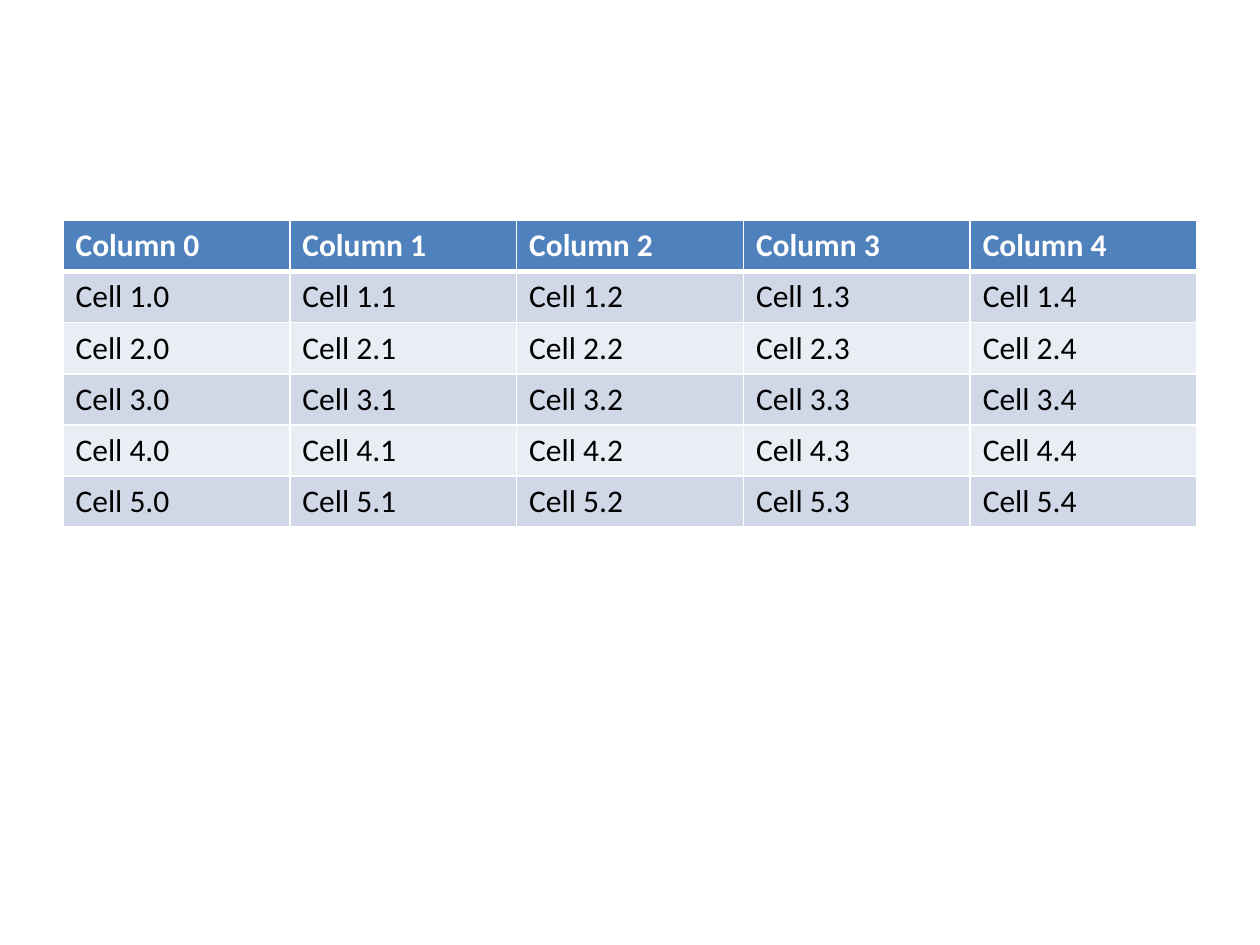
from lxml import etree
from pptx import Presentation
from pptx import util as u
from pptx.dml.color import RGBColor
from pptx.oxml import ns

COLORS = {
    "header": "4F81BD",
    "odd_row": "D0D8E8",
    "even_row": "E9EDF4",
    "border": "FFFFFF",
    "header_text": "FFFFFF",
    "body_text": "000000",
}
ROWS, COLUMNS = 6, 5


def add_border(cell, side, points):
    line = etree.SubElement(cell._tc.get_or_add_tcPr(), ns.qn(f"a:ln{side}"), w=str(u.Pt(points)))
    fill = etree.SubElement(line, ns.qn("a:solidFill"))
    etree.SubElement(fill, ns.qn("a:srgbClr"), val=COLORS["border"])


prs = Presentation()
prs.slide_width, prs.slide_height = u.Inches(10), u.Inches(7.5)
slide = prs.slides.add_slide(prs.slide_layouts[6])

grid = slide.shapes.add_table(
    ROWS, COLUMNS, u.Inches(0.5), u.Inches(1.75), u.Inches(9), u.Inches(2.43)
).table

for row in range(ROWS):
    is_header = row == 0
    band = "header" if is_header else "odd_row" if row % 2 else "even_row"
    for column in range(COLUMNS):
        cell = grid.cell(row, column)
        cell.text = f"Column {column}" if is_header else f"Cell {row}.{column}"
        for side in "LRTB":
            under_header = (row, side) in ((0, "B"), (1, "T"))
            add_border(cell, side, 3 if under_header else 1)
        cell.fill.solid()
        cell.fill.fore_color.rgb = RGBColor.from_string(COLORS[band])
        font = cell.text_frame.paragraphs[0].font
        font.name, font.size, font.bold = "Calibri", u.Pt(18), is_header
        font.color.rgb = RGBColor.from_string(COLORS["header_text" if is_header else "body_text"])

prs.save("out.pptx")
